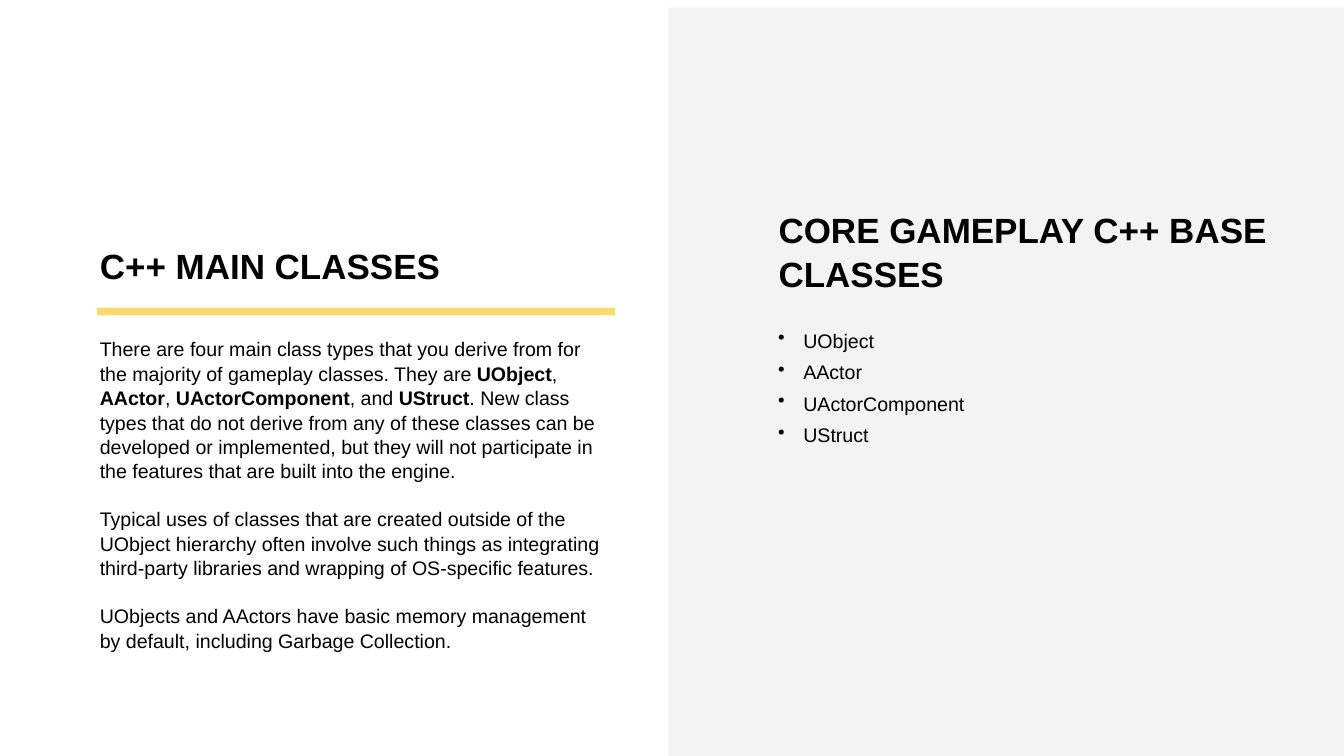
"""Build a slide on the main C++ gameplay classes."""
from lxml import etree
from pptx import Presentation
from pptx.dml.color import RGBColor
from pptx.enum.shapes import MSO_SHAPE
from pptx.enum.text import MSO_ANCHOR, MSO_AUTO_SIZE, PP_ALIGN
from pptx.oxml.ns import qn
from pptx.util import Cm, Pt


def color(value):
    """Turn a hex string into a colour."""
    return RGBColor.from_string(value)


def write(box, place, paragraphs, size=28, bold=False, anchor=MSO_ANCHOR.TOP, gap=0, bullet=None):
    """Place a box and fill it; each paragraph lists spans that alternate plain and bold."""
    box.left, box.top, box.width, box.height = [Cm(length) for length in place]
    frame = box.text_frame
    frame.word_wrap = True
    frame.auto_size = MSO_AUTO_SIZE.NONE
    frame.vertical_anchor = anchor
    frame.margin_left = frame.margin_right = Cm(0.15)
    frame.margin_top = frame.margin_bottom = Cm(0.15)
    for index, spans in enumerate(paragraphs):
        para = frame.add_paragraph() if index else frame.paragraphs[0]
        para.alignment = PP_ALIGN.LEFT
        para.line_spacing = 1.04
        para.space_before = Pt(gap if index else 0)
        if bullet:
            properties = para._p.get_or_add_pPr()
            properties.set("marL", str(Cm(1.27)))
            properties.set("indent", str(Cm(-1.27)))
            etree.SubElement(properties, qn("a:buChar")).set("char", bullet)
        for number, text in enumerate(spans):
            span = para.add_run()
            span.text = text
            span.font.name = "Arial"
            span.font.size = Pt(size)
            span.font.bold = bold or number % 2 == 1
            span.font.color.rgb = color("000000")


deck = Presentation()
deck.slide_width, deck.slide_height = Cm(67.74), Cm(38.1)
page = deck.slides.add_slide(deck.slide_layouts[5])

blocks = [
    ((33.71, 0.38, 34.03, 37.72), "F3F3F3"),
    ((4.88, 15.52, 26.11, 0.36), "FFD966"),
]
for place, fill in blocks:
    block = page.shapes.add_shape(MSO_SHAPE.RECTANGLE, *[Cm(length) for length in place])
    block.shadow.inherit = False
    block.fill.solid()
    block.fill.fore_color.rgb = color(fill)
    block.line.fill.background()

core_heading = page.shapes.add_textbox(0, 0, 0, 0)
headings = [
    (page.shapes.title, (4.88, 12.19, 24.92, 2.41), "C++ MAIN CLASSES"),
    (core_heading, (39.09, 10.41, 25.2, 4.57), "CORE GAMEPLAY C++ BASE CLASSES"),
]
for box, place, text in headings:
    write(box, place, [[text]], size=50, bold=True, anchor=MSO_ANCHOR.BOTTOM)

classes = ["UObject", "AActor", "UActorComponent", "UStruct"]
explanation = [
    [
        "There are four main class types that you derive from for the majority of "
        "gameplay classes. They are ",
        classes[0], ", ", classes[1], ", ", classes[2], ", and ", classes[3],
        ". New class types that do not derive from any of these classes can be developed "
        "or implemented, but they will not participate in the features that are built "
        "into the engine.",
    ],
    [
        "Typical uses of classes that are created outside of the UObject hierarchy often "
        "involve such things as integrating third-party libraries and wrapping of "
        "OS-specific features."
    ],
    [
        "UObjects and AActors have basic memory management by default, including "
        "Garbage Collection."
    ],
]
body = page.shapes.add_textbox(0, 0, 0, 0)
write(body, (4.88, 16.79, 26.11, 15.85), explanation, gap=33.6)

class_list = page.shapes.add_textbox(0, 0, 0, 0)
write(class_list, (39.07, 16.36, 25.65, 6.15), [[name] for name in classes], gap=10, bullet="•")

deck.save("out.pptx")
